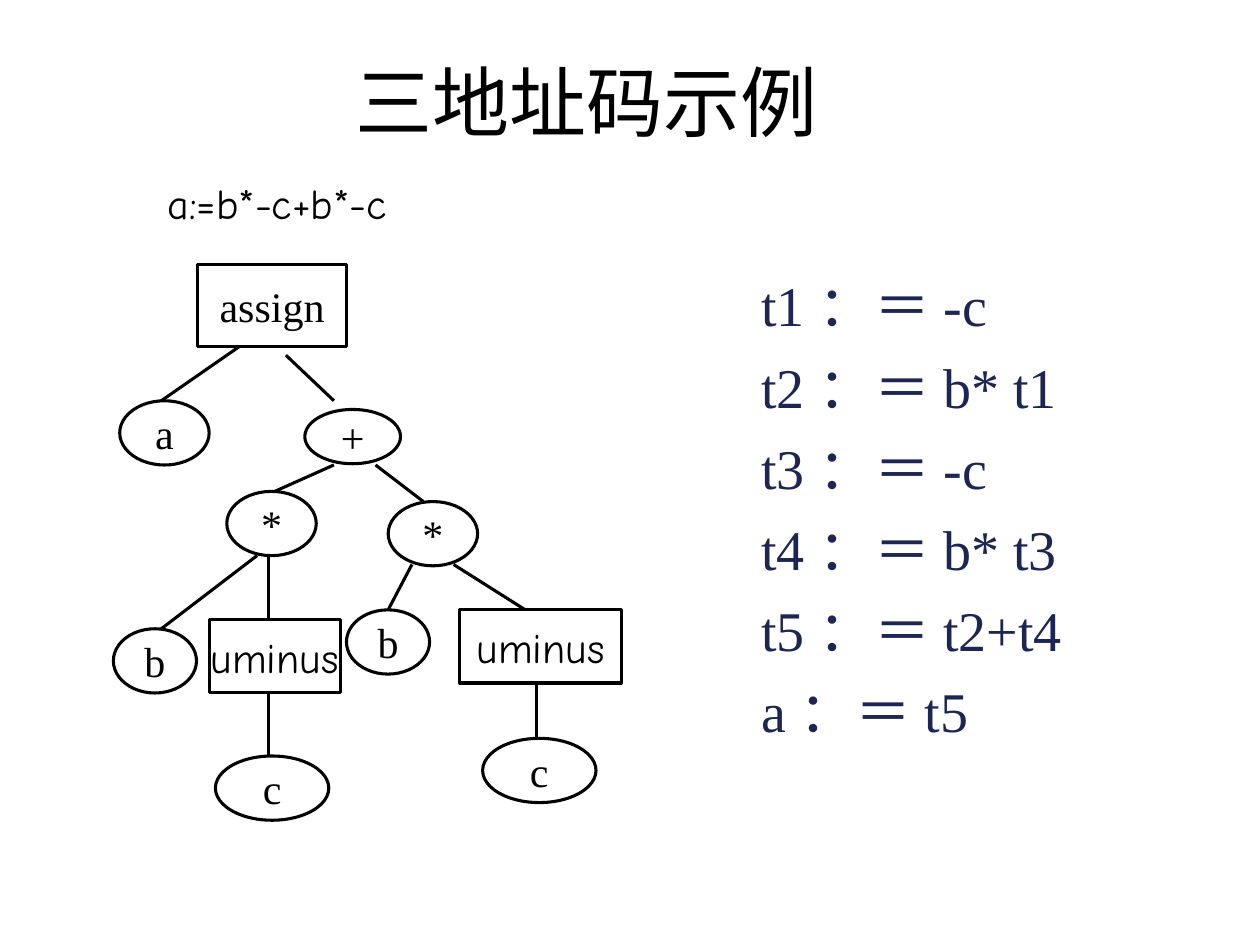
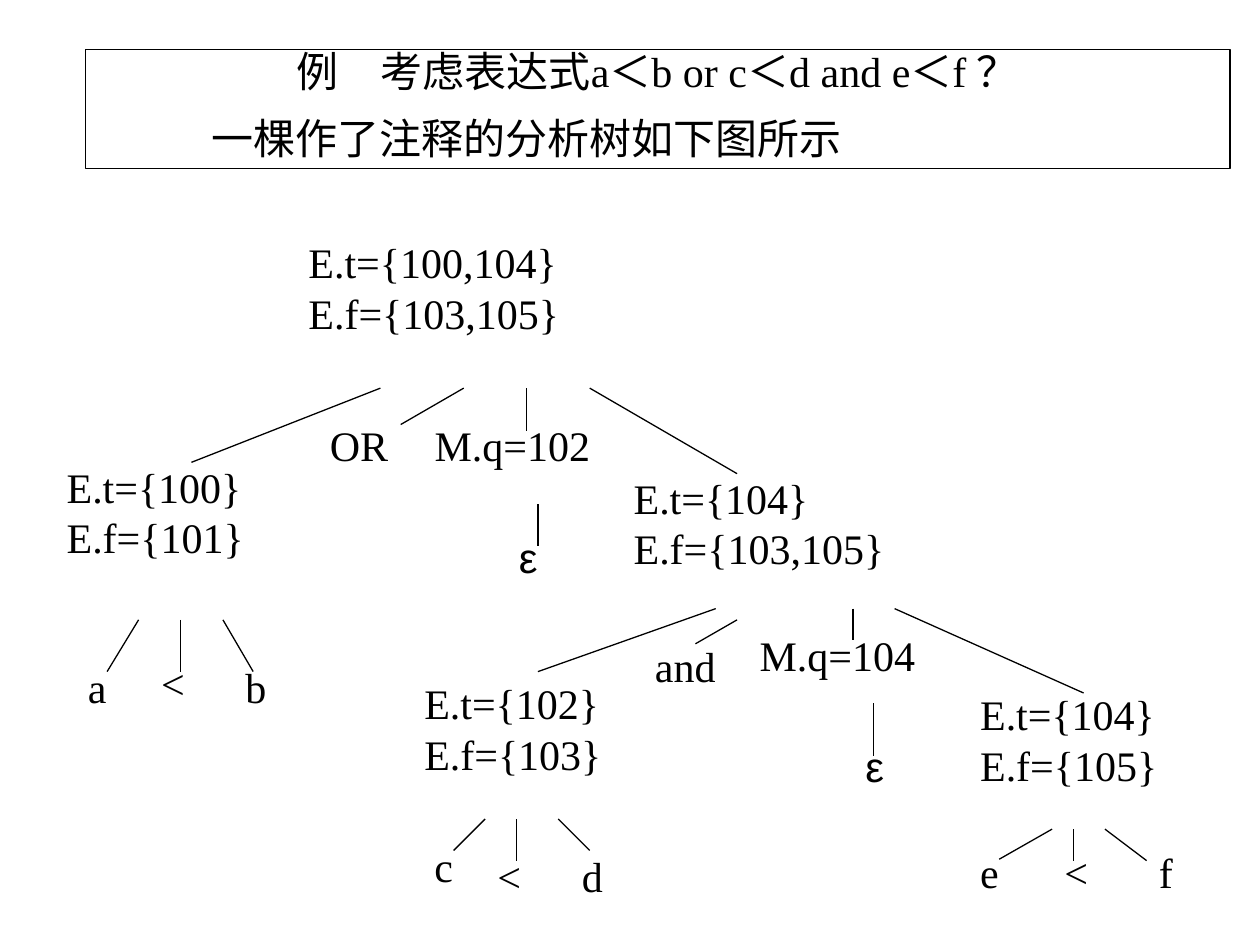
from pptx import Presentation
from pptx.dml.color import RGBColor as Rgb
from pptx.enum.shapes import MSO_CONNECTOR as Conn, MSO_SHAPE as Form
from pptx.enum.text import MSO_ANCHOR as Anchor, MSO_AUTO_SIZE as Auto, PP_ALIGN as Align
from pptx.oxml.ns import qn
from pptx.util import Pt
from lxml import etree

HUES = {"ink": "000000", "paper": "FFFFFF", "navy": "1D2653"}
SERIF, COMIC, SANS = "Times New Roman", "Comic Neue", "Arial"


class Deck:
    def __init__(self):
        self.prs = Presentation()
        self.prs.slide_width, self.prs.slide_height = Pt(720), Pt(540)
        self.slide = None

    def hue(self, name):
        return Rgb.from_string(HUES[name])

    def page(self, layout):
        self.slide = self.prs.slides.add_slide(self.prs.slide_layouts[layout])

    def words(self, frame, lines, size=24, face=SERIF, hue="ink",
              align=Align.LEFT, gap=0, pitch=None, hang=0):
        frame.auto_size = Auto.NONE
        frame.text = "\n".join(lines)
        for i, para in enumerate(frame.paragraphs):
            if hang:
                props = para._p.get_or_add_pPr()
                props.set("marL", str(Pt(hang)))
                props.set("indent", str(-Pt(hang)))
                etree.SubElement(props, qn("a:buNone"))
            para.alignment = align
            para.space_before = Pt(gap if i else 0)
            para.line_spacing = pitch
            font = para.font
            font.size, font.name = Pt(size), face
            font.color.rgb = self.hue(hue)

    def place(self, index, box, lines, anchor, **style):
        hold = self.slide.placeholders[index]
        hold.left, hold.top, hold.width, hold.height = map(Pt, box)
        self.words(hold.text_frame, lines, **style)
        hold.text_frame.vertical_anchor = anchor

    def label(self, x, y, wide, *lines, face=SERIF, wrap=True):
        box = self.slide.shapes.add_textbox(Pt(x), Pt(y), Pt(wide), Pt(8 + 28 * len(lines)))
        self.words(box.text_frame, lines, face=face)
        box.text_frame.word_wrap = wrap

    def node(self, form, box, lines, weight=1.75, wrap=False, anchor=Anchor.MIDDLE,
             align=Align.CENTER, **style):
        shape = self.slide.shapes.add_shape(form, *map(Pt, box))
        shape.shadow.inherit = False
        shape.fill.solid()
        shape.fill.fore_color.rgb = self.hue("paper")
        shape.line.color.rgb = self.hue("ink")
        shape.line.width = Pt(weight)
        frame = shape.text_frame
        self.words(frame, lines, align=align, **style)
        frame.word_wrap, frame.vertical_anchor = wrap, anchor
        return frame

    def edges(self, ends, weight):
        for end in ends:
            line = self.slide.shapes.add_connector(Conn.STRAIGHT, *map(Pt, end))
            line.line.color.rgb = self.hue("ink")
            line.line.width = Pt(weight)
            etree.SubElement(line._element.spPr, qn("a:effectLst"))


def code(deck):
    deck.page(1)
    deck.place(0, (64.8, 25.9, 540.7, 63.4), ["三地址码示例"], Anchor.MIDDLE,
               size=44, align=Align.CENTER)
    steps = ["t1 ：＝ -c", "t2 ：＝ b* t1", "t3 ：＝ -c",
             "t4 ：＝ b* t3", "t5 ：＝ t2+t4", "a ：＝ t5"]
    deck.place(1, (427.7, 151.2, 215.3, 324), steps, Anchor.TOP,
               size=32, hue="navy", gap=8, hang=27)
    deck.label(88.6, 97.9, 139.7, "a:=b*-c+b*-c", face=COMIC, wrap=False)

    deck.node(Form.RECTANGLE, (113, 151.2, 85, 46.8), ["assign"])
    for x, y, wide in ((262.8, 348.5, 92.2), (119.5, 354.2, 74.9)):
        deck.node(Form.RECTANGLE, (x, y, wide, 41.8), ["uminus"], face=COMIC)
    ovals = [
        ("a", 68.4, 229, 51.1, 36.7), ("+", 174.2, 234, 54.7, 31),
        ("*", 221.8, 286.6, 51.1, 36.7), ("*", 129.6, 280.8, 51.1, 36.7),
        ("b", 198, 348.5, 47.5, 36.7), ("b", 64.8, 359.3, 47.5, 36.7),
        ("c", 275.8, 421.9, 64.8, 36.7), ("c", 123.1, 432, 64.8, 36.7),
    ]
    for text, *box in ovals:
        deck.node(Form.OVAL, box, [text])
    deck.edges([
        (136.8, 198, 92.2, 229), (163.4, 203, 190.8, 229),
        (190.8, 265.7, 157, 280.8), (214.6, 265.7, 241.9, 286.6),
        (235.4, 322.6, 221.8, 348.5), (259.2, 322.6, 300.2, 348.5),
        (306.7, 390.2, 306.7, 421.9), (153.4, 317.5, 153.4, 354.2),
        (153.4, 395.3, 153.4, 432), (146.9, 317.5, 92.2, 359.3),
    ], 1.75)


def tree(deck):
    deck.page(6)
    task = ["例　考虑表达式a＜b or c＜d and e＜f ？", "一棵作了注释的分析树如下图所示"]
    frame = deck.node(Form.RECTANGLE, (49, 28.1, 653.8, 68.4), task, weight=0.75,
                      wrap=True, anchor=Anchor.TOP, gap=15, pitch=0.8)
    last = frame.paragraphs[1]
    last.alignment = Align.LEFT
    last._p.get_or_add_pPr().set("marL", str(Pt(65)))

    pairs = [
        (169.2, 131.8, "100,104", "103,105"), (31, 259.9, "100", "101"),
        (355, 266.4, "104", "103,105"), (235.4, 383.8, "102", "103"),
        (553, 390.2, "104", "105"),
    ]
    for x, y, yes, no in pairs:
        deck.label(x, y, 160, f"E.t={{{yes}}}", f"E.f={{{no}}}")
    marks = [
        (181.4, 236.2, 60, "OR"), (241.2, 236.2, 156, "M.q=102"),
        (367.2, 362.2, 72, "and"), (427, 356.4, 156, "M.q=104"),
    ]
    leaves = [
        (43.2, 374.4, "a"), (85, 372.2, "<"), (133.2, 374.4, "b"),
        (241.2, 476.6, "c"), (277.2, 482.4, "<"), (325.4, 482.4, "d"),
        (553, 480.2, "e"), (601.2, 480.2, "<"), (655.2, 480.2, "f"),
    ]
    for mark in marks + [(x, y, 36, text) for x, y, text in leaves]:
        deck.label(*mark)
    for x, y in ((289.4, 300.2), (487.4, 419.8)):
        deck.label(x, y, 36, "ε", face=SANS)

    fans = [
        (221.8, [(217.4, 109.4, 264.2), (265, 229, 242.6),
                 (301, 301, 246.2), (337, 421.2, 270.7)]),
        (354.2, [(79.2, 61.2, 383.8), (103, 103, 383.8),
                 (127.4, 144.7, 383.8), (421.2, 397.4, 367.9)]),
        (347.8, [(409, 307.4, 383.8), (487.4, 487.4, 365.8), (511.2, 619.2, 396)]),
        (468, [(277.2, 259.2, 486), (295.2, 295.2, 491.8), (319, 337, 486)]),
        (473.8, [(601.2, 571, 491), (613.4, 613.4, 491.8), (631.4, 655.2, 491.8)]),
        (288, [(307.4, 307.4, 311.8)]),
        (401.8, [(499, 499, 432)]),
    ]
    deck.edges([(x, top, to, low) for top, fan in fans for x, to, low in fan], 0.75)


def main():
    deck = Deck()
    code(deck)
    tree(deck)
    deck.prs.save("out.pptx")


if __name__ == "__main__":
    main()
